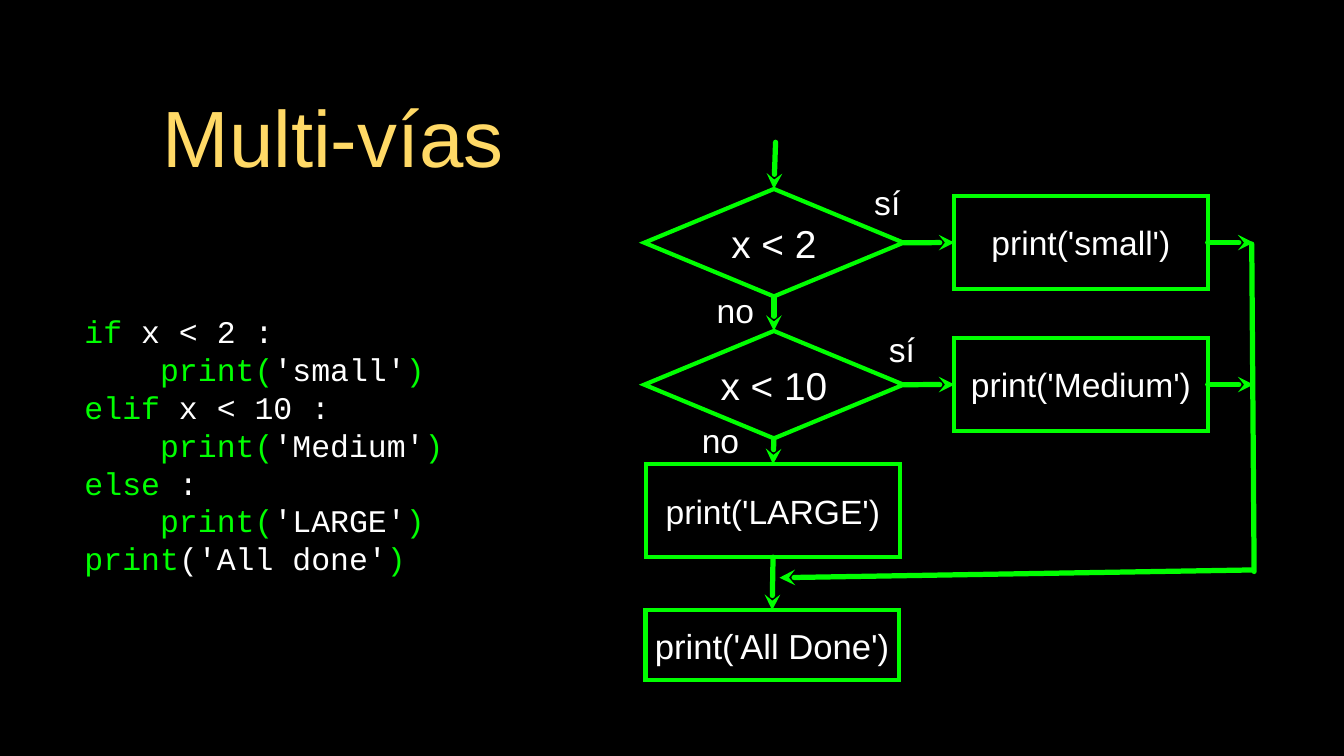
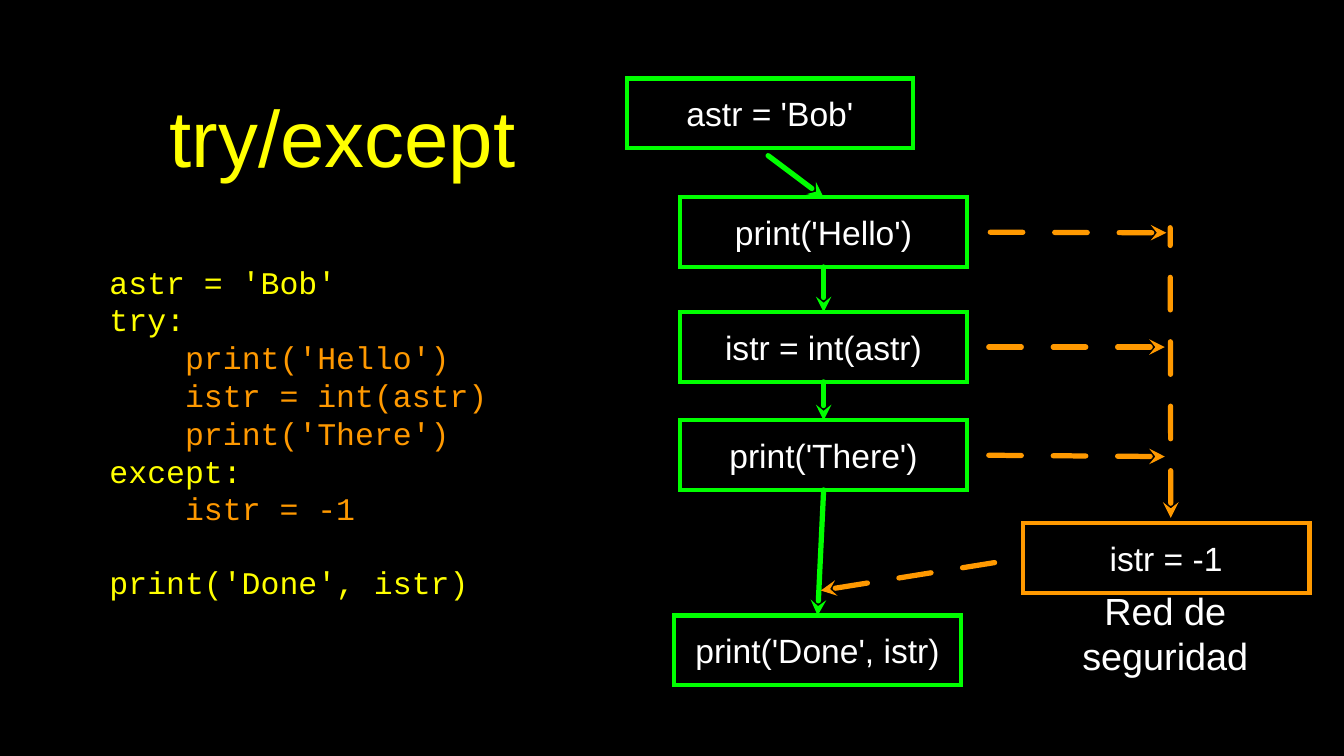
from lxml import etree
from pptx import Presentation
from pptx.dml.color import RGBColor
from pptx.enum.shapes import MSO_CONNECTOR, MSO_SHAPE
from pptx.enum.text import MSO_ANCHOR, PP_ALIGN
from pptx.oxml.ns import qn
from pptx.util import Cm, Pt

STRAIGHT = MSO_CONNECTOR.STRAIGHT
RECTANGLE, DIAMOND = MSO_SHAPE.RECTANGLE, MSO_SHAPE.DIAMOND
MIDDLE = MSO_ANCHOR.MIDDLE
LEFT, CENTER = PP_ALIGN.LEFT, PP_ALIGN.CENTER
TOP_SIDE, LEFT_SIDE, BOTTOM_SIDE, RIGHT_SIDE = range(4)

BLACK, WHITE, GREEN = "000000", "FFFFFF", "00FF00"
GOLD, YELLOW, ORANGE = "FFD966", "FFFF00", "FF9900"
CODE_SIZE = 30
CODE_INDENT = Cm(2.54)


def write(page, text, at, kind=None, outline=GREEN, size=32, font="Arial",
          color=WHITE, align=CENTER):
    if kind is None:
        box = page.shapes.add_textbox(*map(Cm, at))
    else:
        box = page.shapes.add_shape(kind, *map(Cm, at))
        box.shadow.inherit = False
        box.fill.background()
        box.line.color.rgb = RGBColor.from_string(outline)
        box.line.width = Pt(4)
        etree.SubElement(box.line._ln, qn("a:miter"), lim="800000")
    frame = box.text_frame
    frame.word_wrap = True
    frame.vertical_anchor = MIDDLE
    frame.margin_left = frame.margin_right = 0
    frame.margin_top = frame.margin_bottom = 0
    lines = [(0, [(text, color)])] if isinstance(text, str) else text
    for number, (level, spans) in enumerate(lines):
        para = frame.add_paragraph() if number else frame.paragraphs[0]
        para.alignment = align
        if level:
            para._p.get_or_add_pPr().set("marL", str(level * CODE_INDENT))
        for words, hue in spans:
            span = para.add_run()
            span.text = words
            span.font.size = Pt(size)
            span.font.name = font
            span.font.color.rgb = RGBColor.from_string(hue)
    return box


def draw_arrow(page, tip, tail, color=GREEN, dashed=False, head=True):
    arrow = page.shapes.add_connector(STRAIGHT, 0, 0, 0, 0)
    if isinstance(tip[0], (int, float)):
        arrow.begin_x, arrow.begin_y = map(Cm, tip)
    else:
        arrow.begin_connect(*tip)
    if isinstance(tail[0], (int, float)):
        arrow.end_x, arrow.end_y = map(Cm, tail)
    else:
        arrow.end_connect(*tail)
    arrow.line.color.rgb = RGBColor.from_string(color)
    arrow.line.width = Pt(5)
    stroke = arrow.line._ln
    stroke.set("cap", "rnd")
    if dashed:
        pattern = etree.SubElement(stroke, qn("a:custDash"))
        etree.SubElement(pattern, qn("a:ds"), d="720000", sp="510000")
    etree.SubElement(stroke, qn("a:round"))
    if head:
        etree.SubElement(stroke, qn("a:headEnd"), type="stealth")
    etree.SubElement(arrow._element.spPr, qn("a:effectLst"))


deck = Presentation()
deck.slide_width, deck.slide_height = Cm(45.16), Cm(25.4)

branch_code = [
    (0, [("if", GREEN), (" x < 2 :", WHITE)]),
    (1, [("print(", GREEN), ("'small'", WHITE), (")", GREEN)]),
    (0, [("elif", GREEN), (" x < 10 :", WHITE)]),
    (1, [("print(", GREEN), ("'Medium'", WHITE), (")", GREEN)]),
    (0, [("else", GREEN), (" :", WHITE)]),
    (1, [("print(", GREEN), ("'LARGE'", WHITE), (")", GREEN)]),
    (0, [("print", GREEN), ("('All done'", WHITE), (")", GREEN)]),
]
try_code = [
    (0, [("astr = 'Bob'", YELLOW)]),
    (0, [("try:", YELLOW)]),
    (1, [("print('Hello')", ORANGE)]),
    (1, [("istr = int(astr)", ORANGE)]),
    (1, [("print('There')", ORANGE)]),
    (0, [("except:", YELLOW)]),
    (1, [("istr = -1", ORANGE)]),
    (0, [("print('Done', istr)", YELLOW)]),
]

pages, listings = [], []
for title, title_color, title_width, code, code_at in [
    ("Multi-vías", GOLD, 16, branch_code, (2.84, 9.35, 14.17, 11.18)),
    ("try/except", YELLOW, 16.61, try_code, (3.68, 7.9, 14.35, 13.21)),
]:
    page = deck.slides.add_slide(deck.slide_layouts[6])
    page.background.fill.solid()
    page.background.fill.fore_color.rgb = RGBColor.from_string(BLACK)
    write(page, title, (3.2, 2.08, title_width, 4.98), size=76, color=title_color)
    listings.append(write(page, code, code_at, size=CODE_SIZE,
                          font="Courier New", align=LEFT))
    pages.append(page)
branch_page, try_page = pages
listings[1].text_frame.paragraphs[-1].space_before = Pt(34)

tests, answers = [], []
for row, (question, answer) in enumerate([("x < 2", "print('small')"),
                                          ("x < 10", "print('Medium')")]):
    drop = row * 4.77
    test = write(branch_page, question, (21.65, 6.35 + drop, 8.71, 3.61),
                 kind=DIAMOND, size=37)
    reply = write(branch_page, answer, (32.07, 6.59 + drop, 8.51, 3.12),
                  kind=RECTANGLE)
    draw_arrow(branch_page, (reply, LEFT_SIDE), (test, RIGHT_SIDE))
    draw_arrow(branch_page, (42.12, 8.15 + drop), (reply, RIGHT_SIDE))
    tests.append(test)
large = write(branch_page, "print('LARGE')", (21.72, 15.6, 8.51, 3.12),
              kind=RECTANGLE)
finish = write(branch_page, "print('All Done')", (21.69, 20.5, 8.51, 2.36),
               kind=RECTANGLE, size=33)

draw_arrow(branch_page, (tests[0], TOP_SIDE), (26.06, 4.78))
for upper, lower in [(tests[0], tests[1]), (tests[1], large), (large, finish)]:
    draw_arrow(branch_page, (lower, TOP_SIDE), (upper, BOTTOM_SIDE))
draw_arrow(branch_page, (42.14, 19.2), (42.06, 8.2), head=False)
draw_arrow(branch_page, (26.19, 19.41), (42.09, 19.15))

for label, left, top, width in [("sí", 28.85, 6.12, 1.93), ("no", 24.05, 9.73, 1.32),
                                ("sí", 29.24, 11.05, 2.13), ("no", 23.55, 14.1, 1.32)]:
    write(branch_page, label, (left, top, width, 1.37))

steps = []
for text, left, top, outline in [
    ("astr = 'Bob'", 21.06, 2.64, GREEN),
    ("print('Hello')", 22.86, 6.63, GREEN),
    ("istr = int(astr)", 22.86, 10.49, GREEN),
    ("print('There')", 22.86, 14.12, GREEN),
    ("print('Done', istr)", 22.66, 20.68, GREEN),
    ("istr = -1", 34.37, 17.58, ORANGE),
]:
    steps.append(write(try_page, text, (left, top, 9.63, 2.34),
                       kind=RECTANGLE, outline=outline))
start, hello, convert, there, done, rescue = steps

draw_arrow(try_page, (hello, TOP_SIDE), (25.81, 5.23))
for upper, lower in [(hello, convert), (convert, there), (there, done)]:
    draw_arrow(try_page, (lower, TOP_SIDE), (upper, BOTTOM_SIDE))
for step, tip in [(hello, (39.19, 7.82)), (convert, (39.14, 11.66)),
                  (there, (39.14, 15.34))]:
    draw_arrow(try_page, tip, (step, RIGHT_SIDE), color=ORANGE, dashed=True)
draw_arrow(try_page, (39.34, 17.4), (39.32, 7.65), color=ORANGE, dashed=True)
draw_arrow(try_page, (27.58, 19.84), (rescue, LEFT_SIDE), color=ORANGE, dashed=True)
write(try_page, "Red de seguridad", (35.89, 20.4, 6.53, 1.73), size=36)

deck.save("out.pptx")
